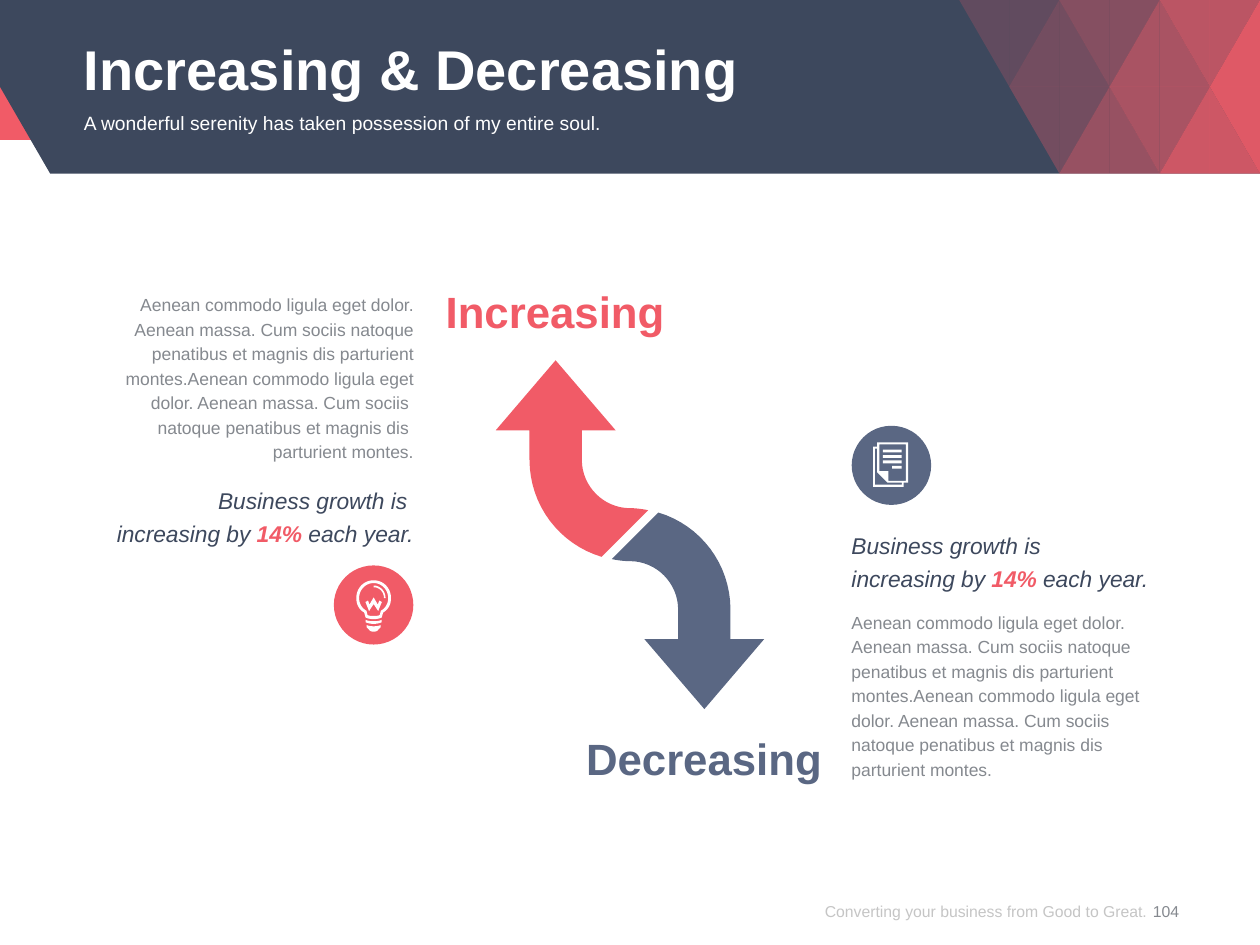
"""Build the Increasing & Decreasing slide with two opposing arrows."""
from dataclasses import dataclass
from itertools import product

from lxml.etree import SubElement
from pptx import Presentation
from pptx.dml.color import RGBColor
from pptx.enum.shapes import MSO_SHAPE
from pptx.enum.text import MSO_ANCHOR, MSO_AUTO_SIZE, PP_ALIGN
from pptx.oxml.ns import qn
from pptx.slide import Slide
from pptx.util import Pt

RED = RGBColor(0xF1, 0x5B, 0x67)
NAVY = RGBColor(0x3D, 0x48, 0x5D)
SLATE = RGBColor(0x5A, 0x67, 0x83)
GREY = RGBColor(0x85, 0x89, 0x8F)
FOOTER_GREY = RGBColor(0x8C, 0x8C, 0x8C)
WHITE = RGBColor(0xFF, 0xFF, 0xFF)

LEFT, RIGHT = PP_ALIGN.LEFT, PP_ALIGN.RIGHT
BANNER_HEIGHT = 99.2
COLUMN_WIDTH = 28.65
BAND_OPACITY = [(20, 20, 40, 40, 70, 70), (0, 30, 30, 60, 60, 90), (0, 0, 50, 50, 80, 80)]

LOREM = ("Aenean commodo ligula eget dolor. Aenean massa. Cum sociis natoque penatibus "
         "et magnis dis parturient montes.Aenean commodo ligula eget dolor. Aenean massa. "
         "Cum sociis \nnatoque penatibus et magnis dis \nparturient montes.")

ARROW = [(370.4, 291.6), (343.8, 318.2), (319.7, 311, 302.6, 288.7, 302.6, 262.8),
         (302.6, 245.9), (283.3, 245.9), (317.5, 205.9), (351.8, 245.9), (332.5, 245.9),
         (332.5, 262.8), (332.5, 277.9, 344.9, 290.4, 360, 290.4),
         (363.6, 290.4, 367.2, 290.9, 370.4, 291.6)]
ARROW_CENTRE = (360, 305.55)

BULB_AXIS = 213.5
BULB_HALVES = [
    [(0, 331.6), (5.6, 331.6, 9.9, 336, 9.9, 341.8), (9.9, 345.6, 8.2, 348.5, 5.4, 350),
     (4.6, 352.9), (3.2, 353.5, 1.7, 353.8, 0, 353.8)],
    [(0, 333.2), (4.6, 333.2, 8.3, 337, 8.3, 341.8), (8.3, 345, 6.6, 347.7, 4.1, 349),
     (3.5, 351.4), (3, 351.8, 2, 352, 0, 352)],
    [(0, 341.4), (2.4, 345.5), (3.2, 343.2), (4.7, 344), (2.6, 349.2), (0, 345.2)],
    [(0, 355), (1.8, 355, 3.4, 354.8, 4.6, 354.2), (4.6, 355.6),
     (3.2, 356.2, 1.8, 356.5, 0, 356.5)],
    [(0, 357.9), (1.6, 357.9, 2.9, 357.7, 4, 357.2), (4, 358.4), (2.5, 360),
     (2.4, 360.2, 1.6, 361, 0, 361)],
]
BULB_GLINT = [(213.5, 334.6), (217.2, 334.6, 220.3, 337.8, 220.3, 341.8), (219.4, 341.8),
              (219.4, 338.4, 216.9, 335.6, 213.5, 335.6)]

PAGES = [
    [(501.2, 252.8), (501.2, 255.3), (498.9, 255.3), (498.9, 278.2), (516.4, 278.2),
     (516.4, 275.9), (518.9, 275.9), (518.9, 252.8)],
    [(515.4, 277), (500, 277), (500, 256.4), (501.2, 256.4), (501.2, 269.9),
     (507.2, 275.9), (515.4, 275.9)],
    [(517.7, 274.8), (507.6, 274.8), (507.6, 269.3), (502.5, 269.3), (502.5, 254),
     (517.7, 254)],
]


def flatten(path, steps=16):
    """Turn points and cubic curves into a list of points."""
    points = []
    for item in path:
        if len(item) == 2:
            points.append(item)
            continue
        (x0, y0), (x1, y1, x2, y2, x3, y3) = points[-1], item
        for step in range(1, steps + 1):
            t = step / steps
            a, b, c, d = (1 - t) ** 3, 3 * t * (1 - t) ** 2, 3 * t * t * (1 - t), t ** 3
            points.append((a * x0 + b * x1 + c * x2 + d * x3,
                           a * y0 + b * y1 + c * y2 + d * y3))
    return points


def mirror(half):
    """Complete a half outline about the bulb axis."""
    points = flatten(half)
    return ([(BULB_AXIS + x, y) for x, y in points]
            + [(BULB_AXIS - x, y) for x, y in reversed(points)])


def rectangle(left, top, right, bottom):
    """Return the corners of a rectangle."""
    return [(left, top), (right, top), (right, bottom), (left, bottom)]


@dataclass
class Painter:
    """Holds the style and the current slide."""
    page: Slide
    font: str = "Arial"

    def paint(self, shape, color, opacity=100):
        """Fill a shape without line or shadow."""
        shape.shadow.inherit = False
        shape.fill.solid()
        shape.fill.fore_color.rgb = color
        shape.line.fill.background()
        self.fade(shape, opacity)

    def fade(self, shape, opacity):
        """Make the colours of a shape partly transparent."""
        if opacity < 100:
            for color in list(shape.element.iter(qn("a:srgbClr"))):
                SubElement(color, qn("a:alpha"), val=str(opacity * 1000))

    def preset(self, kind, left, top, width, height, color):
        """Add a preset shape."""
        shape = self.page.shapes.add_shape(kind, Pt(left), Pt(top), Pt(width), Pt(height))
        self.paint(shape, color)

    def outline(self, contours, color, opacity=100):
        """Add a freeform made of closed contours."""
        builder = None
        for contour in contours:
            start, *rest = [(Pt(x), Pt(y)) for x, y in flatten(contour)]
            if builder is None:
                builder = self.page.shapes.build_freeform(*start)
            else:
                builder.move_to(*start)
            builder.add_line_segments(rest, close=True)
        self.paint(builder.convert_to_shape(), color, opacity)

    def text(self, frame, paragraphs, size, align=LEFT, spacing=None, italic=False,
             anchor=MSO_ANCHOR.TOP, box=None, opacity=100):
        """Write paragraphs of (text, color, bold) spans in a box."""
        left, top, width, height = (Pt(value) for value in frame)
        box = box or self.page.shapes.add_textbox(left, top, width, height)
        box.left, box.top, box.width, box.height = left, top, width, height
        body = box.text_frame
        body.word_wrap = True
        body.auto_size = MSO_AUTO_SIZE.NONE
        body.vertical_anchor = anchor
        body.margin_left = body.margin_top = body.margin_right = body.margin_bottom = 0
        for index, spans in enumerate(paragraphs):
            para = body.add_paragraph() if index else body.paragraphs[0]
            para.alignment = align
            if spacing:
                para.line_spacing = Pt(spacing)
            for words, color, bold in spans:
                for number, line in enumerate(words.split("\n")):
                    if number:
                        para.add_line_break()
                    span = para.add_run()
                    span.text = line
                    span.font.name, span.font.size = self.font, Pt(size)
                    span.font.bold, span.font.italic = bold, italic
                    span.font.color.rgb = color
        self.fade(box, opacity)

    def title(self, frame, words, size, spacing):
        """Bring the title placeholder to the front and write it."""
        box = self.page.shapes.title
        box.element.getparent().append(box.element)
        self.text(frame, [[(words, WHITE, True)]], size, spacing=spacing,
                  anchor=MSO_ANCHOR.MIDDLE, box=box)


def draw_banner(painter):
    """Draw the header band and its triangles."""
    painter.preset(MSO_SHAPE.RECTANGLE, 0, 0, 720, 80, RED)
    painter.outline([[(0, 0), (720, 0), (720, BANNER_HEIGHT), (28.7, BANNER_HEIGHT),
                      (0, BANNER_HEIGHT / 2)]], NAVY)
    for row, column in product(range(2), range(6)):
        right = 720 - (5 - column) * COLUMN_WIDTH
        top = row * BANNER_HEIGHT / 2
        corners = rectangle(right - COLUMN_WIDTH, top, right, top + BANNER_HEIGHT / 2)
        skipped = (3, 1) if (row + column) % 2 == 0 else (2, 0)
        for band, corner in enumerate(skipped, start=row):
            opacity = BAND_OPACITY[band][column]
            if opacity:
                triangle = [point for index, point in enumerate(corners) if index != corner]
                painter.outline([triangle], RED, opacity)


def main():
    """Build and save the deck."""
    deck = Presentation()
    deck.slide_width, deck.slide_height = Pt(720), Pt(540)
    painter = Painter(deck.slides.add_slide(deck.slide_layouts[5]))
    draw_banner(painter)
    painter.title((48, 13.7, 623.5, 46.8), "Increasing & Decreasing", 32, 42)
    painter.text((48, 63.4, 623.5, 28), [[(
        "A wonderful serenity has taken possession of my entire soul.", WHITE, False)]], 11)
    painter.text((435.1, 501.1, 220.3, 38.9), [[(
        "Converting your business from Good to Great.", FOOTER_GREY, False)]], 9,
        RIGHT, anchor=MSO_ANCHOR.MIDDLE, opacity=50)
    painter.text((649.4, 501.1, 33.8, 38.9), [[("104", GREY, False)]], 9,
                 PP_ALIGN.CENTER, anchor=MSO_ANCHOR.MIDDLE)

    painter.preset(MSO_SHAPE.OVAL, 190.8, 323.1, 45.4, 45.2, RED)
    painter.outline([mirror(half) for half in BULB_HALVES] + [BULB_GLINT], WHITE)
    painter.preset(MSO_SHAPE.OVAL, 486.7, 243.3, 45.4, 45.2, SLATE)
    lines = [rectangle(left, 257 + 3.1 * index, 515.3, 258.6 + 3.1 * index)
             for index, left in enumerate((504.5, 504.5, 504.5, 509.8))]
    painter.outline(PAGES + lines, WHITE)

    rising = flatten(ARROW)
    falling = [(2 * ARROW_CENTRE[0] - x, 2 * ARROW_CENTRE[1] - y) for x, y in rising]
    painter.outline([rising], RED)
    painter.outline([falling], SLATE)
    painter.text((254.7, 162.7, 188, 30.2), [[("Increasing", RED, True)]], 25)
    painter.text((281.5, 418.3, 188, 30.2), [[("Decreasing", SLATE, True)]], 25, RIGHT)

    for left, lorem_top, growth_top, align, opening in (
            (48.3, 166.2, 274.8, RIGHT, "Business growth is "),
            (486.6, 347.7, 300.5, LEFT, "Business growth is")):
        painter.text((left, lorem_top, 188, 98.6), [[(LOREM, GREY, False)]], 10, align, 14)
        growth = [[(opening, NAVY, False)],
                  [("increasing by ", NAVY, False), ("14%", RED, True),
                   (" each year.", NAVY, False)]]
        painter.text((left, growth_top, 188, 38), growth, 13, align, 19, italic=True)
    deck.save("out.pptx")


if __name__ == "__main__":
    main()
